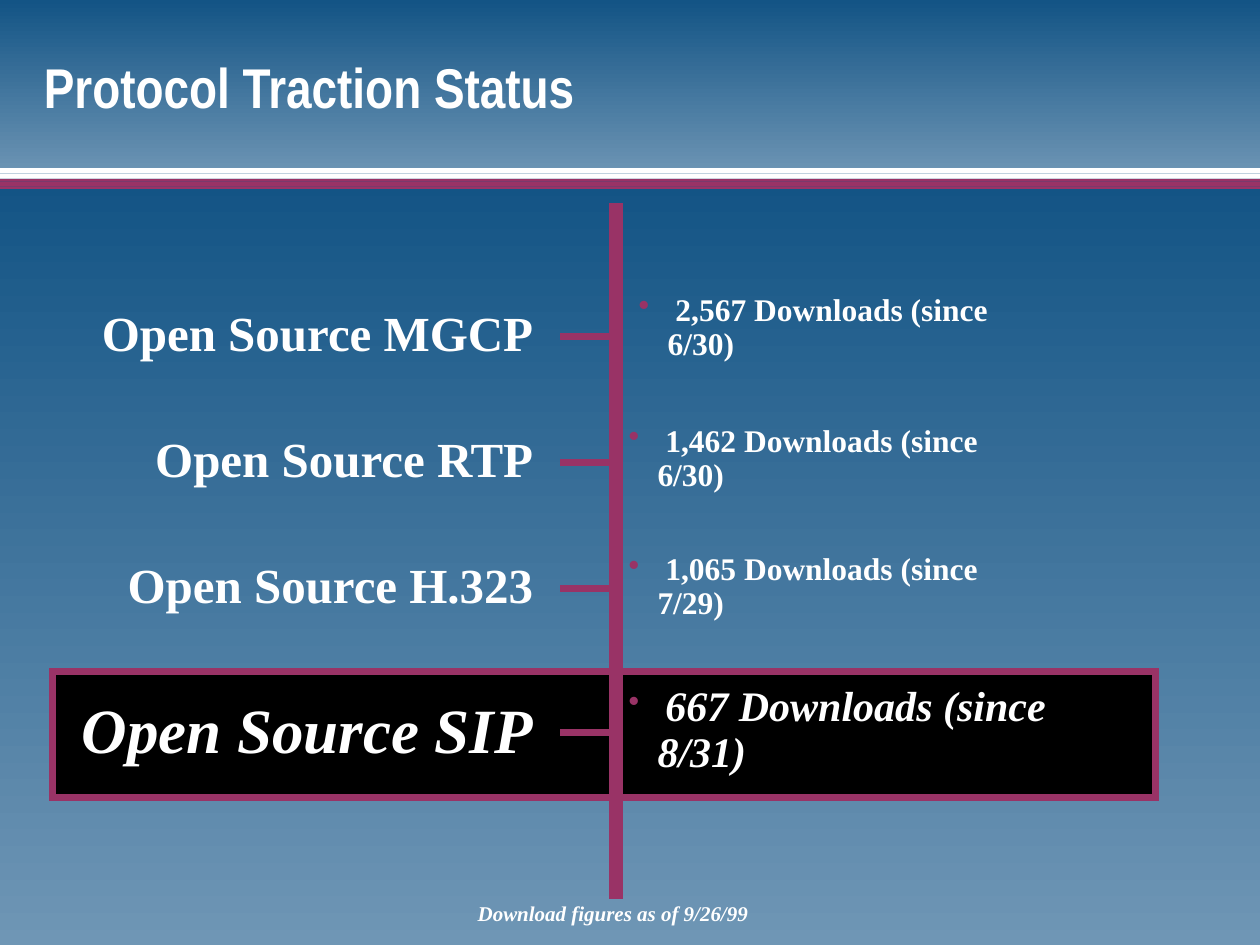
from lxml import etree
from pptx import Presentation
from pptx.dml.color import RGBColor
from pptx.enum.shapes import MSO_CONNECTOR, MSO_SHAPE
from pptx.enum.text import MSO_ANCHOR, PP_ALIGN
from pptx.oxml.ns import qn
from pptx.util import Inches, Pt

DEEP_BLUE = RGBColor(0x13, 0x54, 0x85)
PALE_BLUE = RGBColor(0x6F, 0x96, 0xB5)
PLUM = RGBColor(0x99, 0x33, 0x66)
WHITE = RGBColor(0xFF, 0xFF, 0xFF)
BLACK = RGBColor(0, 0, 0)
GREY = RGBColor(0x96, 0x96, 0x96)

presentation = Presentation()
presentation.slide_width = Inches(10)
presentation.slide_height = Inches(7.5)
slide = presentation.slides.add_slide(presentation.slide_layouts[6])
slide.background.fill.solid()
slide.background.fill.fore_color.rgb = GREY


def add_rectangle(left, top, width, height, color=None):
    shape = slide.shapes.add_shape(
        MSO_SHAPE.RECTANGLE, Inches(left), Inches(top), Inches(width), Inches(height))
    shape.shadow.inherit = False
    shape.line.fill.background()
    if color is not None:
        shape.fill.solid()
        shape.fill.fore_color.rgb = color
    return shape


def add_text(left, top, width, height, text, size, italic=False,
             align=PP_ALIGN.LEFT, font="Times New Roman", wrap=False, bullet=False):
    shape = slide.shapes.add_textbox(
        Inches(left), Inches(top), Inches(width), Inches(height))
    frame = shape.text_frame
    frame.word_wrap = wrap
    frame.vertical_anchor = MSO_ANCHOR.MIDDLE
    paragraph = frame.paragraphs[0]
    paragraph.alignment = align
    if bullet:
        paragraph.line_spacing = 0.9
        properties = paragraph._p.get_or_add_pPr()
        properties.set("marL", str(Inches(0.23)))
        properties.set("indent", str(-Inches(0.23)))
        bullet_color = etree.SubElement(properties, qn("a:buClr"))
        etree.SubElement(bullet_color, qn("a:srgbClr")).set("val", str(PLUM))
        etree.SubElement(properties, qn("a:buChar")).set("char", "•")
        # The narrow space after the bullet keeps its own size
        space = paragraph.add_run()
        space.text = " "
        space.font.size = Pt(18)
    paragraph.add_run().text = text
    paragraph.font.name = font
    paragraph.font.size = Pt(size)
    paragraph.font.bold = True
    paragraph.font.italic = italic
    paragraph.font.color.rgb = WHITE


# Body and header gradients
for top, height in ((1.42, 6.09), (0, 1.42)):
    panel = add_rectangle(0, top, 10, height)
    panel.fill.gradient()
    panel.fill.gradient_angle = 270
    for stop, color in zip(panel.fill.gradient_stops, (DEEP_BLUE, PALE_BLUE)):
        stop.color.rgb = color

# Rules under the header, each made of four touching strips
for first_top, strip, color in ((1.42, 0.02, PLUM), (1.335, 0.021, WHITE)):
    for index in range(4):
        add_rectangle(0, first_top + index * strip, 10, strip, color)

# Highlight behind the last row, with sharp corners
highlight = add_rectangle(0.42, 5.33, 8.75, 1, BLACK)
highlight.line.color.rgb = PLUM
highlight.line.width = Pt(4)
etree.SubElement(highlight.line._get_or_add_ln(), qn("a:miter")).set("lim", "800000")

add_text(0.25, 0.1, 7.08, 1.17, "Protocol Traction Status", 32,
         font="Arial Narrow", wrap=True)

# Vertical rail and one tick per row, with square ends
RAIL = 4.89
ticks = [(4.47, y, RAIL, y, 4) for y in (2.67, 3.67, 4.67, 5.81)]
for x1, y1, x2, y2, width in [(RAIL, 1.67, RAIL, 7.08, 8)] + ticks:
    line = slide.shapes.add_connector(
        MSO_CONNECTOR.STRAIGHT, Inches(x1), Inches(y1), Inches(x2), Inches(y2))
    line.line.color.rgb = PLUM
    line.line.width = Pt(width)
    line.line._get_or_add_ln().set("cap", "sq")
    etree.SubElement(line._element.spPr, qn("a:effectLst"))

# Rows: label (width, top, height, size), downloads (left, top, width, height, size)
LABEL_RIGHT = 4.33
rows = [
    ("Open Source MGCP", (3.63, 2.35, 0.57, 28),
     "2,567 Downloads (since 6/30)", (4.97, 2.42, 3.48, 0.37, 18), False),
    ("Open Source RTP", (3.22, 3.35, 0.57, 28),
     "1,462 Downloads (since 6/30)", (RAIL, 3.46, 3.42, 0.37, 18), False),
    ("Open Source H.323", (3.42, 4.35, 0.57, 28),
     "1,065 Downloads (since 7/29)", (RAIL, 4.48, 3.42, 0.37, 18), False),
    ("Open Source SIP", (3.88, 5.43, 0.7, 36),
     "667 Downloads (since 8/31)", (RAIL, 5.57, 4.15, 0.46, 24), True),
]
for label, (width, top, height, size), downloads, place, italic in rows:
    add_text(LABEL_RIGHT - width, top, width, height, label, size, italic,
             PP_ALIGN.RIGHT)
    left, top, width, height, size = place
    add_text(left, top, width, height, downloads, size, italic,
             wrap=True, bullet=True)

# Footnote
add_text(3.69, 7.1, 2.35, 0.3, "Download figures as of 9/26/99", 12, True,
         PP_ALIGN.CENTER)

presentation.save("out.pptx")
